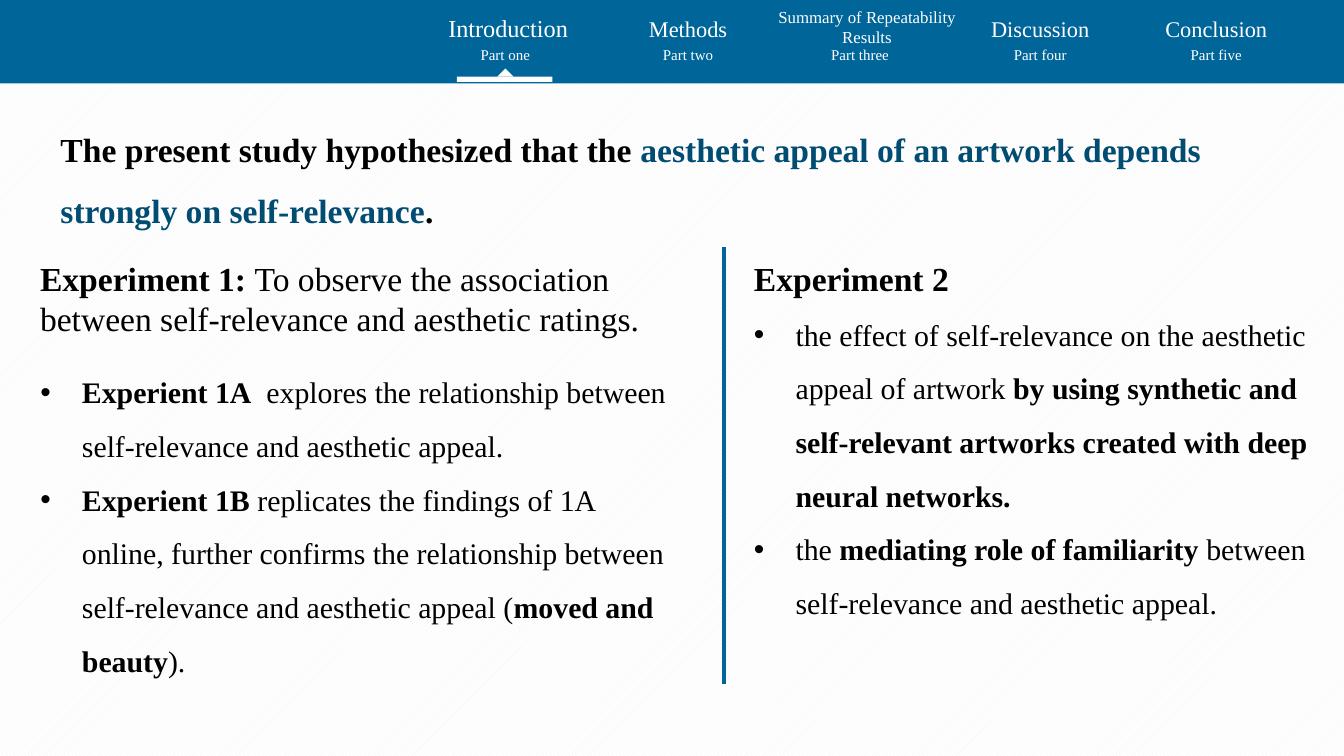
from lxml.etree import SubElement
from pptx import Presentation
from pptx.dml.color import RGBColor
from pptx.enum.dml import MSO_PATTERN as Pattern
from pptx.enum.shapes import MSO_CONNECTOR as Connector, MSO_SHAPE as Shape
from pptx.enum.text import MSO_ANCHOR as Anchor, MSO_AUTO_SIZE as AutoSize, PP_ALIGN as Align
from pptx.oxml.ns import qn
from pptx.util import Inches, Pt

COLORS = {
    "blue": "006599",
    "navy": "004C73",
    "white": "FFFFFF",
    "stripe": "F2F2F2",
    "black": "000000",
}
FONT = "Times New Roman"

TABS = [
    ("Introduction", "Part one", 3.78, 3.76, 0.05, 1.38, 13),
    ("Methods", "Part two", 5.12, 5.12, 0.06, 1.12, 12),
    ("Summary of Repeatability Results", "Part three", 6.45, 6.4, 0, 1.55, 9),
    ("Discussion", "Part four", 7.74, 7.74, 0.06, 1.12, 12),
    ("Conclusion", "Part five", 9.05, 9.05, 0.06, 1.12, 12),
]

HYPOTHESIS = [
    ("The present study hypothesized that the ", True),
    ("aesthetic appeal of an artwork depends strongly on self-relevance", True, "navy"),
    (".", True),
]
FIRST_HEADING = [
    ("Experiment 1: ", True),
    ("To observe the association between self-relevance and aesthetic ratings.", False),
]
FIRST_POINTS = [
    [
        ("Experient 1A", True),
        ("  explores the relationship between self-relevance and aesthetic appeal.", False),
    ],
    [
        ("Experient 1B ", True),
        ("replicates the findings of 1A online, further confirms the relationship "
         "between self-relevance and aesthetic appeal (", False),
        ("moved and beauty", True),
        (").", False),
    ],
]
SECOND_HEADING = [("Experiment 2", True)]
SECOND_POINTS = [
    [
        ("the effect of self-relevance on the aesthetic appeal of artwork ", False),
        ("by using synthetic and self-relevant artworks created with deep neural networks.", True),
    ],
    [
        ("the ", False),
        ("mediating role of familiarity", True),
        (" between self-relevance and aesthetic appeal.", False),
    ],
]


def color(name):
    return RGBColor.from_string(COLORS[name])


def write(para, spans, size=16, ink="black", align=Align.LEFT, spacing=1.0, bullet=False):
    props = para._p.get_or_add_pPr()
    indent = Inches(0.31) if bullet else 0
    props.set("marL", str(indent))
    props.set("indent", str(-indent))
    if bullet:
        SubElement(props, qn("a:buFont"), typeface="Arial")
        SubElement(props, qn("a:buChar"), char="•")
    else:
        SubElement(props, qn("a:buNone"))
    para.alignment = align
    para.line_spacing = spacing
    para.space_before = para.space_after = Pt(0)
    for text, bold, *tint in spans:
        span = para.add_run()
        span.text = text
        span.font.name = FONT
        span.font.size = Pt(size)
        span.font.bold = bold
        span.font.color.rgb = color(tint[0] if tint else ink)


class Page:
    def __init__(self, deck):
        self.slide = deck.slides.add_slide(deck.slide_layouts[3])
        self.shapes = self.slide.shapes
        fill = self.slide.background.fill
        fill.patterned()
        fill.pattern = Pattern.LIGHT_UPWARD_DIAGONAL
        fill.fore_color.rgb = color("stripe")
        fill.back_color.rgb = color("white")

    def block(self, kind, left, top, width, height, paint):
        shape = self.shapes.add_shape(kind, *map(Inches, (left, top, width, height)))
        shape.shadow.inherit = False
        shape.fill.solid()
        shape.fill.fore_color.rgb = color(paint)
        shape.line.fill.background()

    def divider(self, x, top, bottom):
        line = self.shapes.add_connector(
            Connector.STRAIGHT, Inches(x), Inches(top), Inches(x), Inches(bottom))
        line.line.color.rgb = color("blue")
        line.line.width = Pt(2.25)
        SubElement(line._element.spPr, qn("a:effectLst"))

    def fill_frame(self, box, paragraphs):
        frame = box.text_frame
        frame.word_wrap = True
        frame.auto_size = AutoSize.NONE
        frame.vertical_anchor = Anchor.TOP
        for index, (spans, style) in enumerate(paragraphs):
            para = frame.add_paragraph() if index else frame.paragraphs[0]
            write(para, spans, **style)

    def text(self, left, top, width, height, spans, **style):
        box = self.shapes.add_textbox(*map(Inches, (left, top, width, height)))
        self.fill_frame(box, [(spans, style)])

    def placeholder(self, index, left, top, width, height, paragraphs):
        box = self.slide.placeholders[index]
        box.left, box.top, box.width, box.height = map(Inches, (left, top, width, height))
        self.fill_frame(box, paragraphs)

    def tab(self, name, part, center, part_center, top, width, size):
        style = {"ink": "white", "align": Align.CENTER}
        self.text(center - width / 2, top, width, 0.32, [(name, False)], size=size, **style)
        self.text(part_center - 0.35, 0.29, 0.7, 0.24, [(part, False)], size=8, **style)


def main():
    deck = Presentation()
    deck.slide_width = Inches(10)
    deck.slide_height = Inches(10 * 9 / 16)
    page = Page(deck)

    page.block(Shape.RECTANGLE, 0, 0, 10, 0.62, "blue")
    page.block(Shape.RECTANGLE, 3.4, 0.57, 0.71, 0.04, "white")
    page.block(Shape.ISOSCELES_TRIANGLE, 3.7, 0.51, 0.12, 0.06, "white")
    for tab in TABS:
        page.tab(*tab)

    heading = {"size": 18}
    point = {"spacing": 1.5, "bullet": True}
    page.placeholder(0, 0.35, 0.76, 8.8, 1.01, [(HYPOTHESIS, {"size": 18, "spacing": 1.5})])
    page.text(0.2, 1.87, 5.26, 1.01, FIRST_HEADING, **heading)
    page.placeholder(1, 0.2, 2.6, 4.95, 2.52, [(spans, point) for spans in FIRST_POINTS])
    page.divider(5.39, 1.84, 5.09)
    page.placeholder(2, 5.51, 1.87, 4.45, 3.26,
                     [(SECOND_HEADING, heading)] + [(spans, point) for spans in SECOND_POINTS])

    deck.save("out.pptx")


if __name__ == "__main__":
    main()
